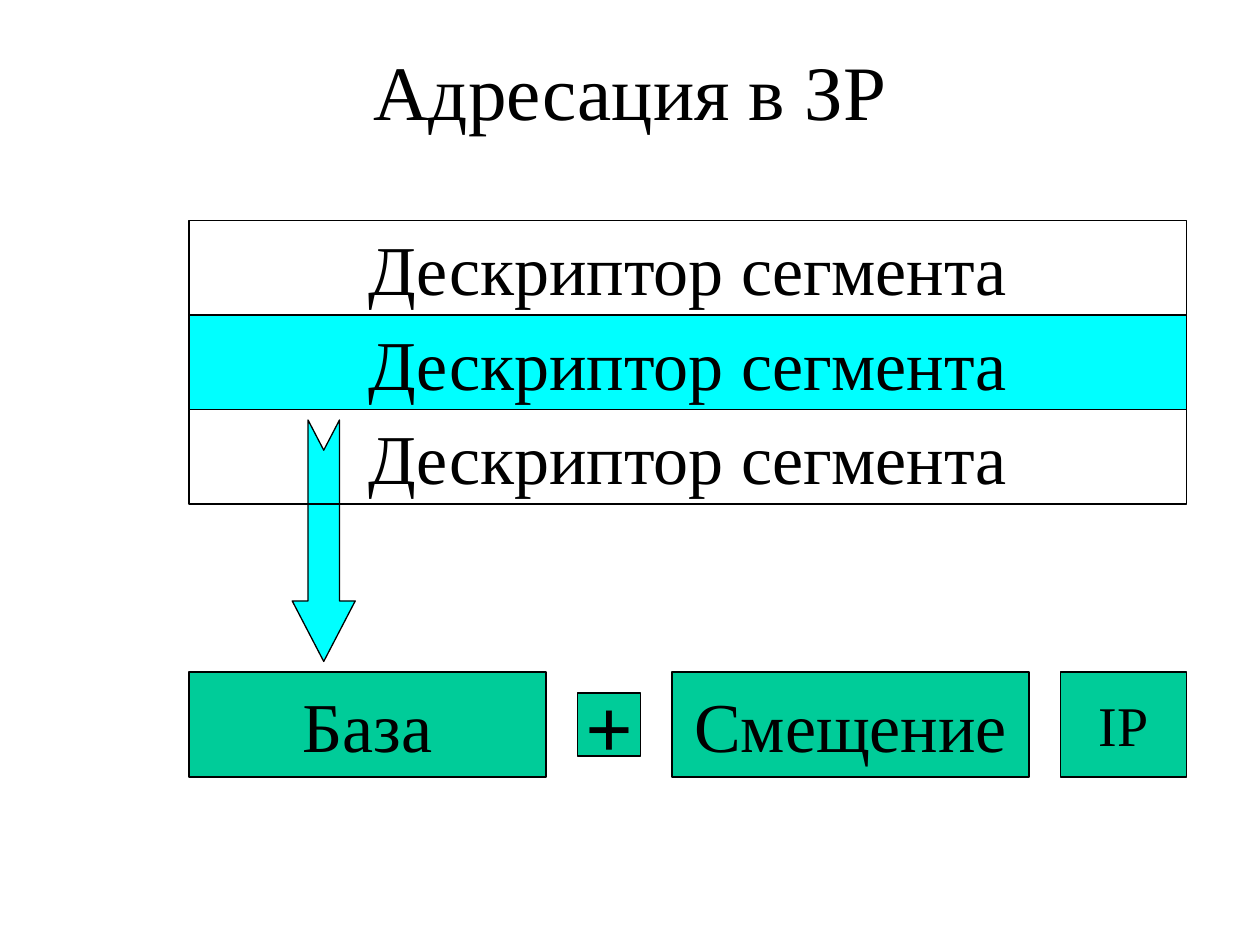
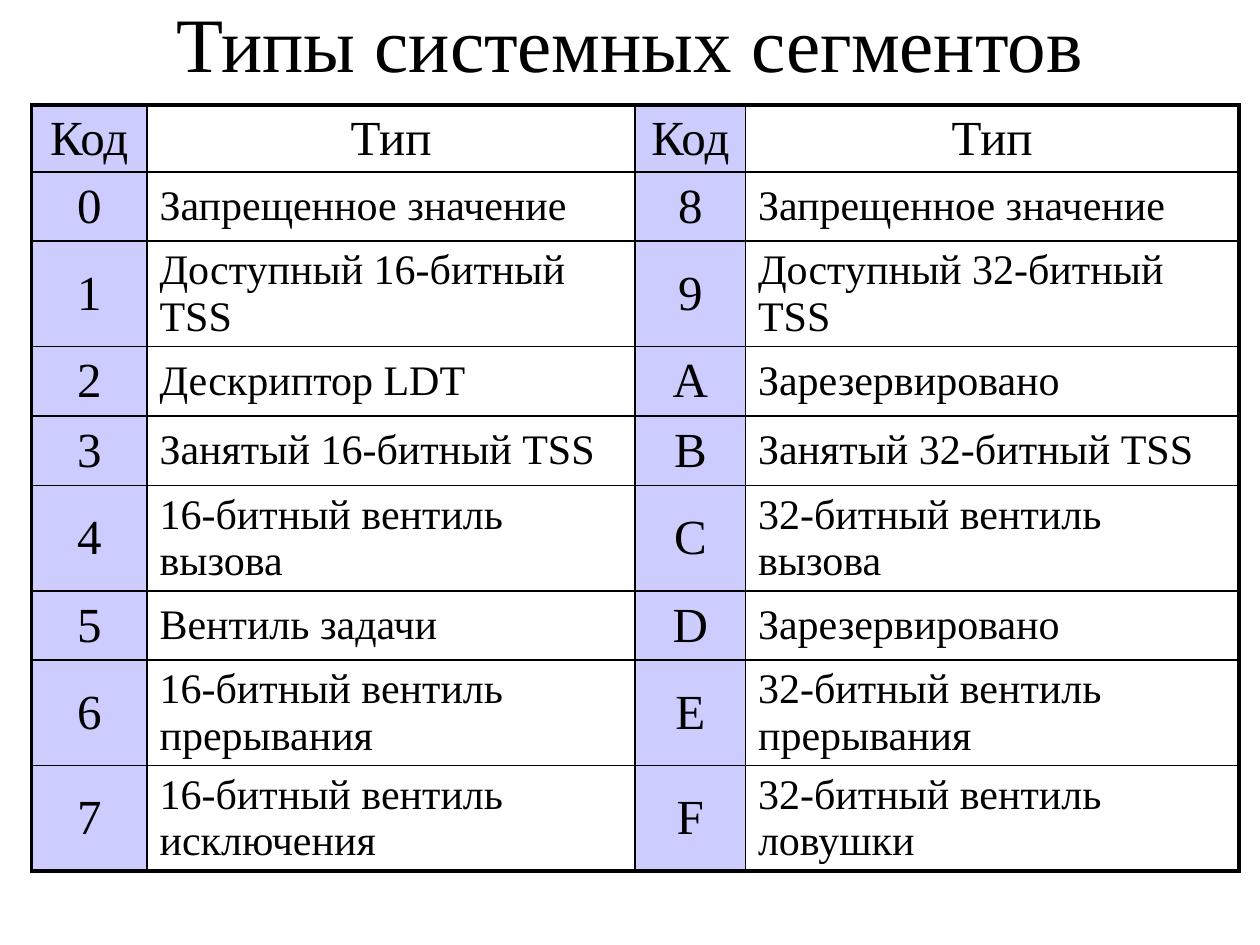
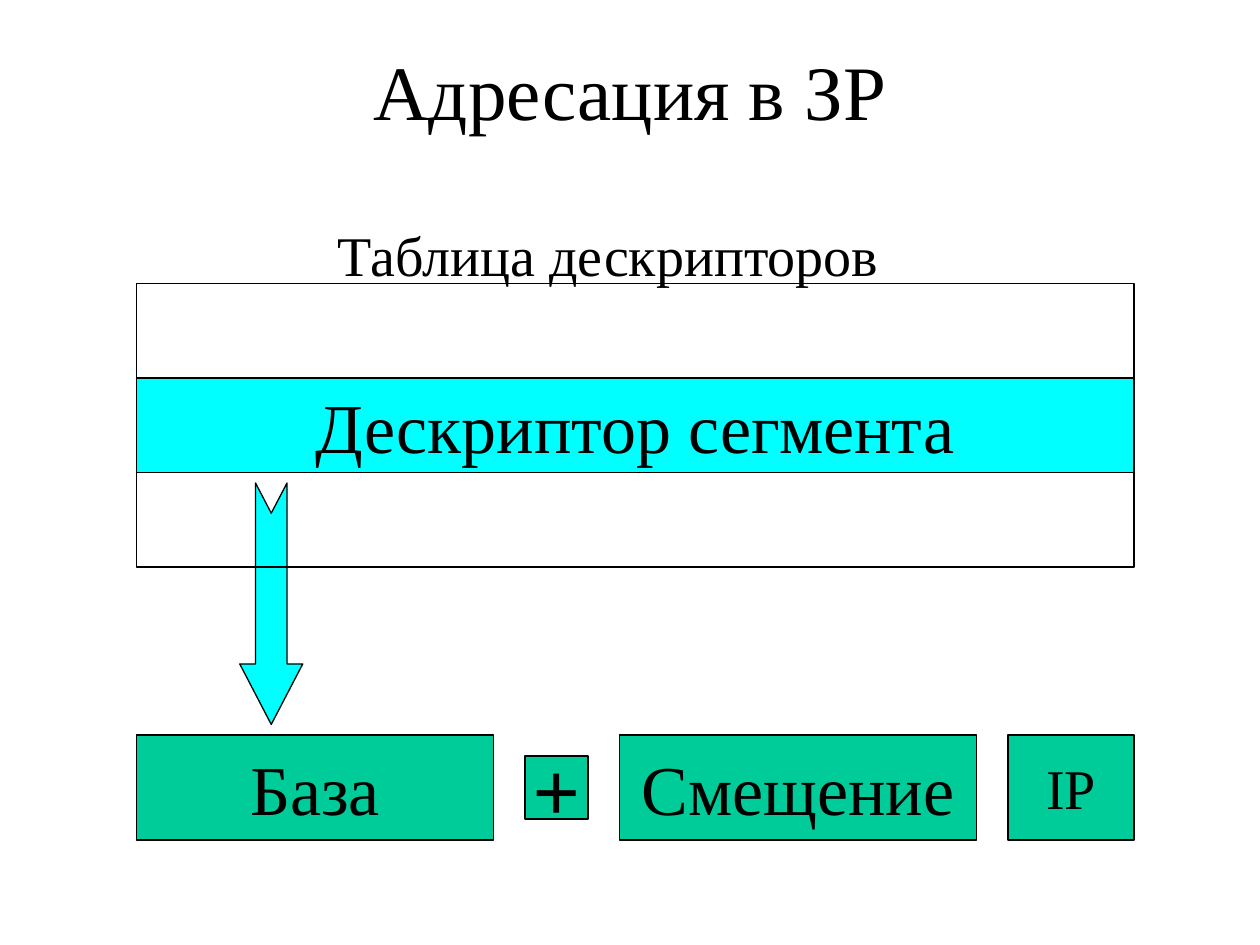
from dataclasses import dataclass

from lxml import etree
from pptx import Presentation
from pptx.dml.color import RGBColor
from pptx.enum import shapes, text
from pptx.oxml import ns
from pptx.util import Pt


@dataclass(frozen=True)
class Theme:
    """Colours, font and type sizes shared by the slides."""
    font: str = "Times New Roman"
    ink: str = "000000"
    address: str = "00CC99"
    selected: str = "00FFFF"
    code: str = "CCCCFF"
    title_size: int = 44
    sign_size: int = 48
    label_size: int = 40
    caption_size: int = 32
    code_size: int = 28
    type_size: int = 24
    outline: float = 0.75
    grid: float = 1
    frame: float = 2.25


THEME = Theme()
DESCRIPTOR = "Дескриптор сегмента"
BAND_WIDTH, BAND_HEIGHT = 570, 54
ADDRESS_HEIGHT = 60
GAP = 18
ARROW_LENGTH, ARROW_WIDTH = 138, 36
ARROW_CENTRE, ARROW_GAP = 77, 6

ADDRESS_PARTS = [
    ("База", 204, ADDRESS_HEIGHT, THEME.label_size),
    ("+", 36, 36, THEME.sign_size),
    ("Смещение", 204, ADDRESS_HEIGHT, THEME.label_size),
    ("IP", 72, ADDRESS_HEIGHT, THEME.caption_size),
]

COLUMN_WIDTHS = [66, 279, 63, 282]
ROW_HEIGHTS = [36, 39.6, 49, 39.6, 39.6, 49, 39.6, 51, 51]
SEGMENT_TYPES = [
    ("Код", "Тип", "Код", "Тип"),
    ("0", "Запрещенное значение", "8", "Запрещенное значение"),
    ("1", "Доступный 16-битный TSS", "9", "Доступный 32-битный TSS"),
    ("2", "Дескриптор LDT", "A", "Зарезервировано"),
    ("3", "Занятый 16-битный TSS", "B", "Занятый 32-битный TSS"),
    ("4", "16-битный вентиль вызова", "C", "32-битный вентиль вызова"),
    ("5", "Вентиль задачи", "D", "Зарезервировано"),
    ("6", "16-битный вентиль прерывания", "E", "32-битный вентиль прерывания"),
    ("7", "16-битный вентиль исключения", "F", "32-битный вентиль ловушки"),
]


def write_text(text_frame, words, size, align=text.PP_ALIGN.CENTER, bold=False):
    """Put one formatted paragraph into a text frame."""
    text_frame.text = words
    paragraph = text_frame.paragraphs[0]
    paragraph.alignment = align
    for run in paragraph.runs:
        run.font.name = THEME.font
        run.font.size = Pt(size)
        run.font.bold = bold
        run.font.color.rgb = RGBColor.from_string(THEME.ink)


def paint(item, colour):
    """Fill a shape or cell, or leave it clear when there is no colour."""
    if colour:
        item.fill.solid()
        item.fill.fore_color.rgb = RGBColor.from_string(colour)
    else:
        item.fill.background()


def add_titled_slide(presentation, title, top, height):
    """Add a title-only slide with its title placed and formatted."""
    slide = presentation.slides.add_slide(presentation.slide_layouts[5])
    shape = slide.shapes.title
    shape.left, shape.top, shape.width, shape.height = map(Pt, (54, top, 612, height))
    shape.text_frame.auto_size = text.MSO_AUTO_SIZE.NONE
    shape.text_frame.vertical_anchor = text.MSO_ANCHOR.MIDDLE
    write_text(shape.text_frame, title, THEME.title_size)
    return slide


def add_outlined(slide, kind, left, top, width, height, colour):
    """Add a preset shape with the common thin outline."""
    shape = slide.shapes.add_shape(kind, Pt(left), Pt(top), Pt(width), Pt(height))
    shape.shadow.inherit = False
    paint(shape, colour)
    shape.line.color.rgb = RGBColor.from_string(THEME.ink)
    shape.line.width = Pt(THEME.outline)
    return shape


def add_box(slide, words, left, top, width, height, size, colour):
    """Add a rectangle with an optional centred label."""
    shape = add_outlined(slide, shapes.MSO_SHAPE.RECTANGLE, left, top, width, height, colour)
    if words:
        shape.text_frame.word_wrap = False
        shape.text_frame.vertical_anchor = text.MSO_ANCHOR.MIDDLE
        write_text(shape.text_frame, words, size, bold=words == "+")


def add_down_arrow(slide, centre, top):
    """Add the notched arrow from the selected descriptor to the base."""
    left = centre - ARROW_LENGTH / 2
    unrotated_top = top + (ARROW_LENGTH - ARROW_WIDTH) / 2
    arrow = add_outlined(slide, shapes.MSO_SHAPE.NOTCHED_RIGHT_ARROW, left, unrotated_top,
                         ARROW_LENGTH, ARROW_WIDTH, THEME.selected)
    arrow.adjustments[0] = 0.5
    arrow.adjustments[1] = 0.96
    arrow.rotation = 90


def add_address_row(slide, left, top):
    """Add the base, plus, offset and IP boxes with equal gaps."""
    for words, width, height, size in ADDRESS_PARTS:
        box_top = top + (ADDRESS_HEIGHT - height) / 2
        add_box(slide, words, left, box_top, width, height, size, THEME.address)
        left += width + GAP


def add_addressing(slide, left, top, labels):
    """Add the descriptor bands, the arrow and the address row."""
    arrow_top = top + 2 * BAND_HEIGHT + ARROW_GAP
    add_address_row(slide, left, arrow_top + ARROW_LENGTH + ARROW_GAP)
    add_down_arrow(slide, left + ARROW_CENTRE, arrow_top)
    for index, words in enumerate(labels):
        colour = THEME.selected if index == 1 else None
        add_box(slide, words, left, top + index * BAND_HEIGHT,
                BAND_WIDTH, BAND_HEIGHT, THEME.label_size, colour)


def add_caption(slide, words, left, top, width, height):
    """Add a text box that grows with its text."""
    shape = slide.shapes.add_textbox(Pt(left), Pt(top), Pt(width), Pt(height))
    shape.text_frame.word_wrap = True
    shape.text_frame.auto_size = text.MSO_AUTO_SIZE.SHAPE_TO_FIT_TEXT
    write_text(shape.text_frame, words, THEME.caption_size, text.PP_ALIGN.LEFT)


def set_borders(cell, outer_edges):
    """Draw cell borders, thick where the cell meets the table frame."""
    properties = cell._tc.get_or_add_tcPr()
    for edge, is_outer in zip("LRTB", outer_edges):
        width = THEME.frame if is_outer else THEME.grid
        line = etree.SubElement(properties, ns.qn(f"a:ln{edge}"), w=str(Pt(width)))
        fill = etree.SubElement(line, ns.qn("a:solidFill"))
        etree.SubElement(fill, ns.qn("a:srgbClr"), val=THEME.ink)


def add_type_table(slide, left, top):
    """Add the table of system segment codes and types."""
    row_count, column_count = len(SEGMENT_TYPES), len(COLUMN_WIDTHS)
    table = slide.shapes.add_table(row_count, column_count, Pt(left), Pt(top),
                                   Pt(sum(COLUMN_WIDTHS)), Pt(sum(ROW_HEIGHTS))).table
    table.first_row = table.horz_banding = False
    for column, width in zip(table.columns, COLUMN_WIDTHS):
        column.width = Pt(width)
    for row_index, (row, height) in enumerate(zip(table.rows, ROW_HEIGHTS)):
        row.height = Pt(height)
        for column_index, cell in enumerate(row.cells):
            is_code = column_index % 2 == 0
            is_centred = is_code or row_index == 0
            set_borders(cell, (column_index == 0, column_index == column_count - 1,
                               row_index == 0, row_index == row_count - 1))
            paint(cell, THEME.code if is_code else None)
            cell.vertical_anchor = text.MSO_ANCHOR.MIDDLE
            write_text(cell.text_frame, SEGMENT_TYPES[row_index][column_index],
                       THEME.code_size if is_centred else THEME.type_size,
                       text.PP_ALIGN.CENTER if is_centred else text.PP_ALIGN.LEFT)


def main():
    """Build and save the three slides."""
    presentation = Presentation()
    presentation.slide_width, presentation.slide_height = Pt(720), Pt(540)

    slide = add_titled_slide(presentation, "Адресация в ЗР", 6, 90)
    add_addressing(slide, 108, 126, [DESCRIPTOR] * 3)

    slide = add_titled_slide(presentation, "Типы системных сегментов", 0, 48)
    add_type_table(slide, 18, 60)

    slide = add_titled_slide(presentation, "Адресация в ЗР", 6, 90)
    add_addressing(slide, 78, 162, ["", DESCRIPTOR, ""])
    add_caption(slide, "Таблица дескрипторов", 186, 122.5, 330, 45)

    presentation.save("out.pptx")


if __name__ == "__main__":
    main()
